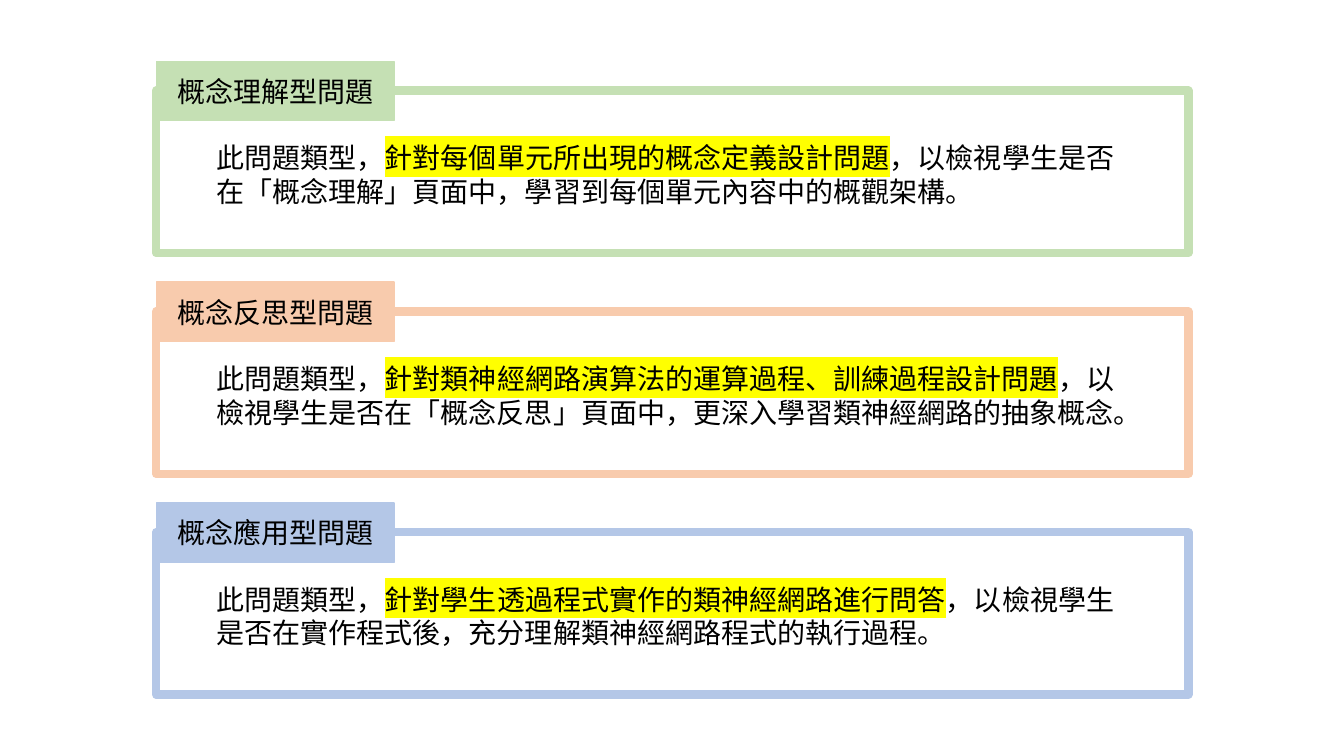
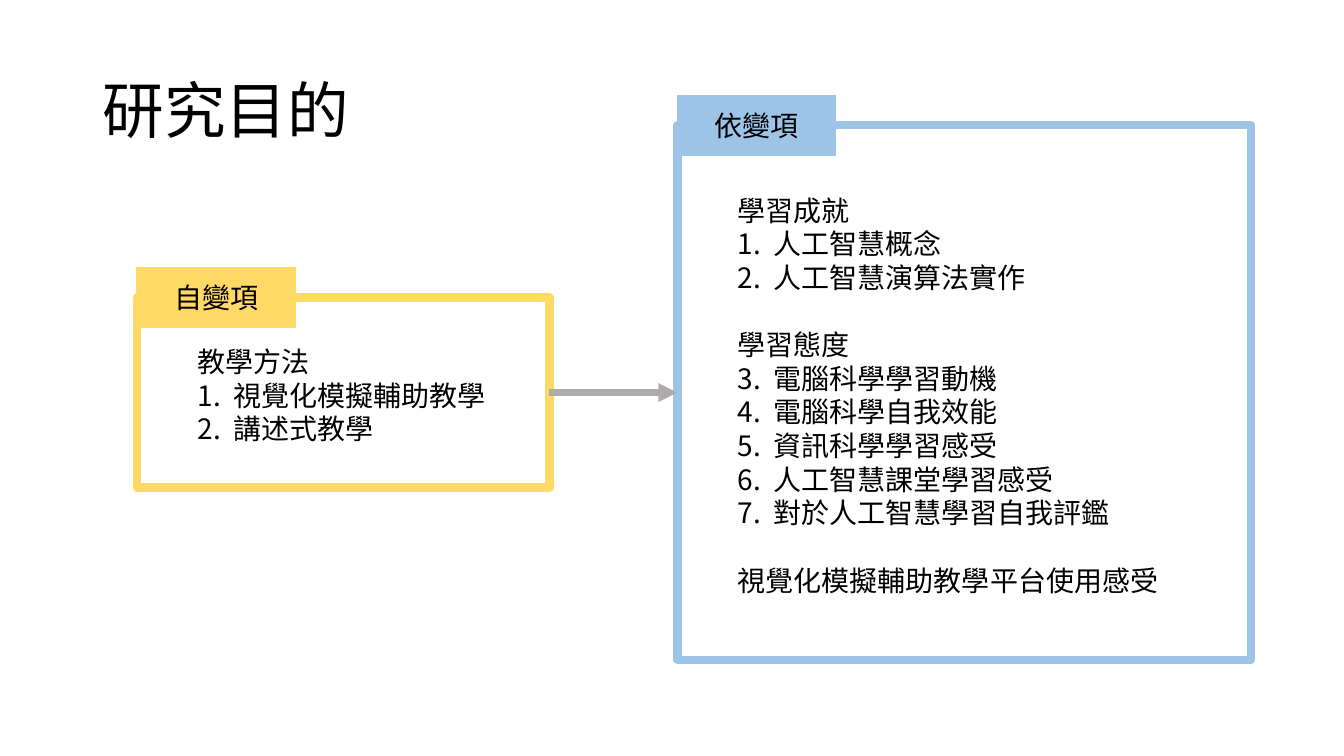
from lxml.etree import SubElement
from pptx import Presentation
from pptx.dml.color import RGBColor
from pptx.enum.shapes import MSO_CONNECTOR as CONN, MSO_SHAPE as SHAPE
from pptx.enum.text import MSO_ANCHOR as ANCHOR, PP_ALIGN as ALIGN
from pptx.oxml.ns import qn
from pptx.util import Pt

FONT = "Noto Sans CJK SC"
BLACK, WHITE, GRAY, YELLOW = "000000", "FFFFFF", "AFABAB", "FFFF00"
GREEN, ORANGE, BLUE = "C5E0B4", "F8CBAD", "B4C7E7"
GOLD, SKY = "FFD966", "9DC3E6"
TAB_RISE, TAB_H = 21, 42.5
INDENT, HANG, LINE = 36, 25.6, 24

QUESTION_TYPES = [
    ("概念理解型問題", GREEN, "針對每個單元所出現的概念定義設計問題", "，以檢視學生是否",
     "在「概念理解」頁面中，學習到每個單元內容中的概觀架構。"),
    ("概念反思型問題", ORANGE, "針對類神經網路演算法的運算過程、訓練過程設計問題", "，以",
     "檢視學生是否在「概念反思」頁面中，更深入學習類神經網路的抽象概念。"),
    ("概念應用型問題", BLUE, "針對學生透過程式實作的類神經網路進行問答", "，以檢視學生",
     "是否在實作程式後，充分理解類神經網路程式的執行過程。"),
]
METHODS = [("教學方法", ["視覺化模擬輔助教學", "講述式教學"])]
OUTCOMES = [
    ("學習成就", ["人工智慧概念", "人工智慧演算法實作"]),
    ("學習態度", ["電腦科學學習動機", "電腦科學自我效能", "資訊科學學習感受",
              "人工智慧課堂學習感受", "對於人工智慧學習自我評鑑"]),
    ("視覺化模擬輔助教學平台使用感受", []),
]


def color(value):
    return RGBColor.from_string(value)


def add_run(p, text, size=20, highlight=None):
    r = p.add_run()
    r.text = text
    r.font.size = Pt(size)
    r.font.color.rgb = color(BLACK)
    r.font.name = FONT
    rPr = r.font._element
    SubElement(rPr, qn("a:ea"), typeface=FONT)
    if highlight:
        mark = SubElement(rPr, qn("a:highlight"))
        SubElement(mark, qn("a:srgbClr"), val=highlight)
        rPr.find(qn("a:latin")).addprevious(mark)


def add_line(tf, numbered=False, before=0):
    first = not tf.paragraphs[0].runs
    p = tf.paragraphs[0] if first else tf.add_paragraph()
    pPr = p._p.get_or_add_pPr()
    pPr.set("marL", str(Pt(INDENT + (HANG if numbered else 0))))
    pPr.set("indent", str(Pt(-HANG if numbered else 0)))
    if numbered:
        SubElement(pPr, qn("a:buFont"), typeface=FONT)
        SubElement(pPr, qn("a:buAutoNum"), type="arabicPeriod")
    p.alignment = ALIGN.LEFT
    p.line_spacing = Pt(LINE)
    if before and not first:
        p.space_before = Pt(before)
    return p


def add_rect(s, box, fill, line, weight):
    sp = s.shapes.add_shape(SHAPE.RECTANGLE, *map(Pt, box))
    sp.shadow.inherit = False
    sp.fill.solid()
    sp.fill.fore_color.rgb = color(fill)
    sp.line.color.rgb = color(line)
    sp.line.width = Pt(weight)
    tf = sp.text_frame
    tf.word_wrap = True
    tf.vertical_anchor = ANCHOR.MIDDLE
    return sp


def add_panel(s, box, label, tab_width, accent):
    left, top = box[:2]
    frame = add_rect(s, box, WHITE, accent, 6)
    frame.text_frame.margin_top = Pt(7)
    tab = add_rect(s, (left, top - TAB_RISE, tab_width, TAB_H), accent, accent, 1)
    p = tab.text_frame.paragraphs[0]
    p.alignment = ALIGN.CENTER
    add_run(p, label)
    return frame


def add_question_panel(s, box, label, accent, focus, tail, second_line):
    tf = add_panel(s, box, label, 170, accent).text_frame
    p = add_line(tf)
    add_run(p, "此問題類型，")
    add_run(p, focus, highlight=YELLOW)
    add_run(p, tail)
    add_run(add_line(tf), second_line)


def add_variable_panel(s, box, label, accent, groups):
    frame = add_panel(s, box, label, 113, accent)
    tf = frame.text_frame
    for heading, items in groups:
        add_run(add_line(tf, before=LINE), heading)
        for item in items:
            add_run(add_line(tf, numbered=True), item)
    return frame


def add_title(s, text):
    tf = s.shapes.add_textbox(Pt(66.2), Pt(28.8), Pt(828), Pt(104.4)).text_frame
    tf.word_wrap = True
    tf.vertical_anchor = ANCHOR.MIDDLE
    p = tf.paragraphs[0]
    p.line_spacing = 0.9
    add_run(p, text, size=44)


def add_arrow(s, source, target):
    arrow = s.shapes.add_connector(CONN.STRAIGHT, 0, 0, 0, 0)
    arrow.begin_connect(source, 3)
    arrow.end_connect(target, 1)
    arrow.line.color.rgb = color(GRAY)
    arrow.line.width = Pt(4.5)
    SubElement(arrow.line._get_or_add_ln(), qn("a:tailEnd"), type="triangle")
    SubElement(arrow._element.spPr, qn("a:effectLst"))


def build_question_slide(s):
    for i, question in enumerate(QUESTION_TYPES):
        add_question_panel(s, (111.6, 64.8 + i * 157.7, 737.3, 116), *question)


def build_purpose_slide(s):
    add_title(s, "研究目的")
    cause = add_variable_panel(s, (98, 212.4, 294.5, 136), "自變項", GOLD, METHODS)
    effect = add_variable_panel(s, (483.8, 89.2, 409.7, 382.4), "依變項", SKY, OUTCOMES)
    add_arrow(s, cause, effect)


def main():
    prs = Presentation()
    prs.slide_width, prs.slide_height = Pt(960), Pt(540)
    for build in (build_question_slide, build_purpose_slide):
        build(prs.slides.add_slide(prs.slide_layouts[6]))
    prs.save("out.pptx")


if __name__ == "__main__":
    main()
